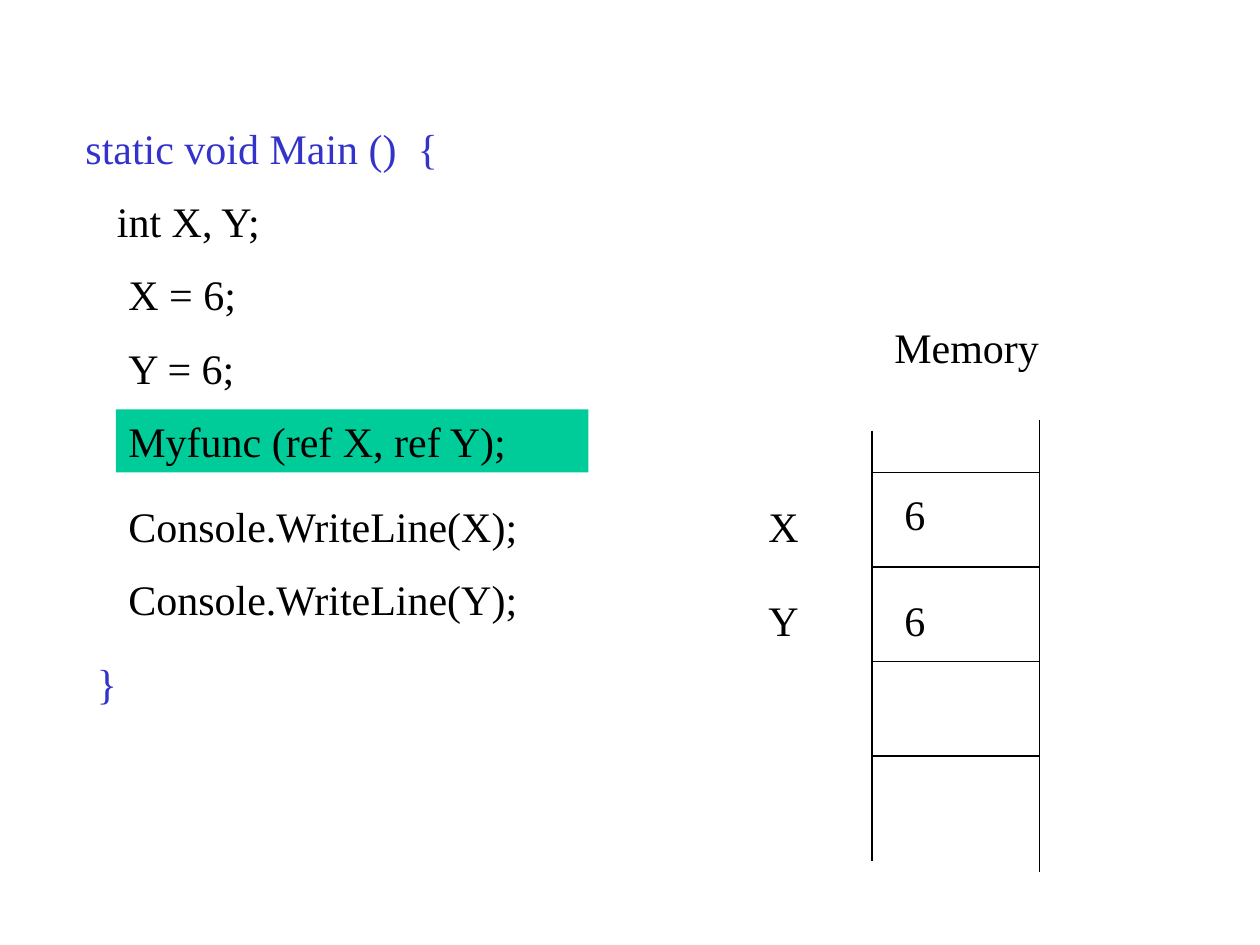
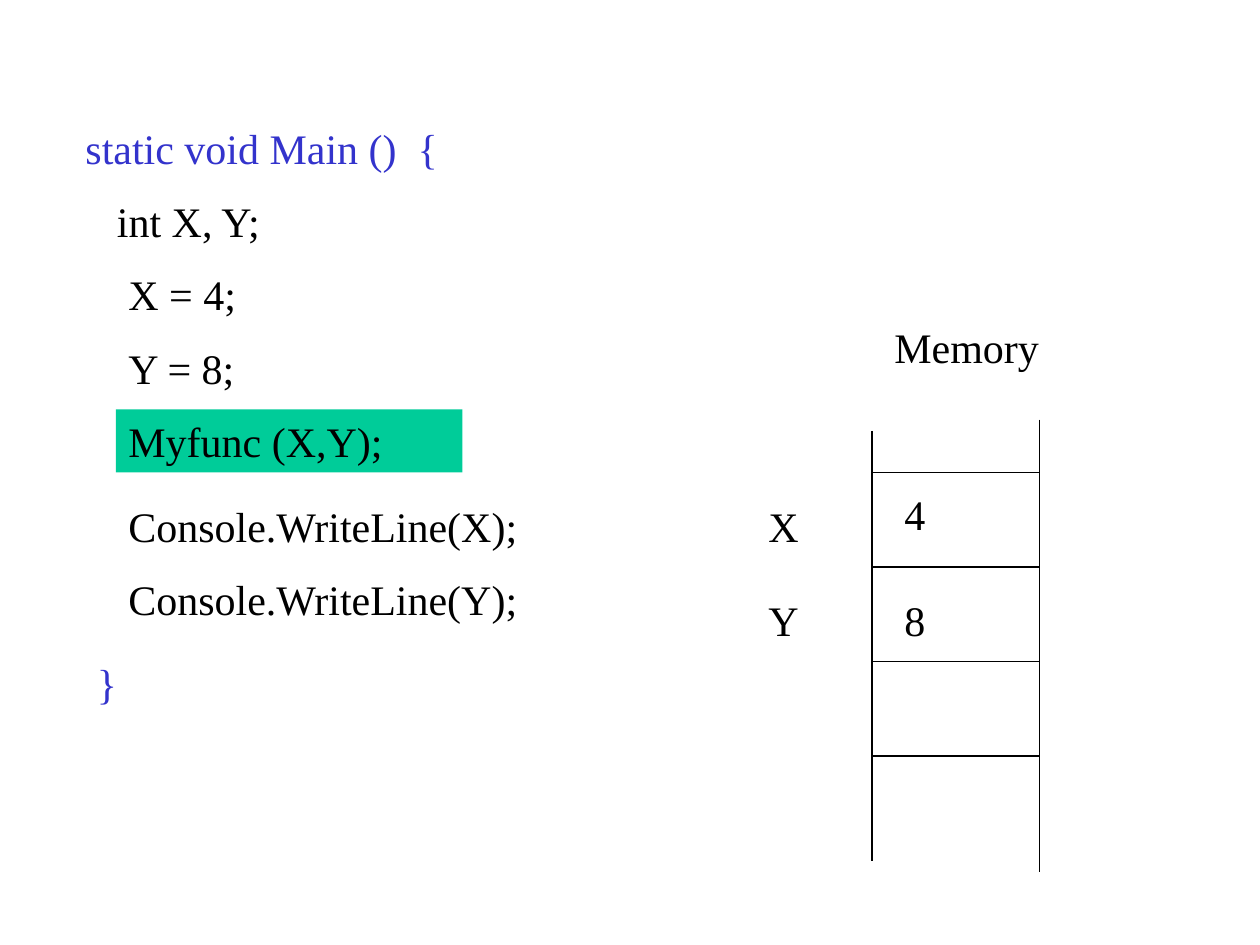
from dataclasses import dataclass

from pptx import Presentation
from pptx.dml.color import RGBColor
from pptx.enum.shapes import MSO_CONNECTOR, MSO_SHAPE
from pptx.enum.text import MSO_ANCHOR, MSO_AUTO_SIZE, PP_ALIGN
from pptx.oxml.ns import qn
from pptx.util import Inches, Pt
from lxml.etree import SubElement

# Content: the starting values, the highlighted call and its bar width
SLIDES = [
    {"x": "6", "y": "6", "call": "Myfunc (ref X, ref Y);", "call_width": 3.75},
    {"x": "4", "y": "8", "call": "Myfunc (X,Y);", "call_width": 2.75},
]


@dataclass(frozen=True)
class Theme:
    font: str = "Times New Roman"
    size: Pt = Pt(24)
    space_before: Pt = Pt(15)
    rule: Pt = Pt(0.75)
    ink: RGBColor = RGBColor(0x00, 0x00, 0x00)
    frame: RGBColor = RGBColor(0x33, 0x33, 0xCC)
    highlight: RGBColor = RGBColor(0x00, 0xCC, 0x99)


THEME = Theme()

# Layout in inches
LINE_HEIGHT = 0.5
BODY_LEFT = 0.92
MEMORY_LEFT, MEMORY_RIGHT = 6.92, 8.25
CELL_TOP, CELL_HEIGHT, CELL_RULES = 3.75, 0.75, 4
LABEL_LEFT, VALUE_LEFT = 6, 7.08


def set_text(s, text, color):
    tf = s.text_frame
    tf.text = text
    tf.word_wrap = True
    tf.auto_size = MSO_AUTO_SIZE.SHAPE_TO_FIT_TEXT
    tf.vertical_anchor = MSO_ANCHOR.TOP
    p = tf.paragraphs[0]
    p.alignment = PP_ALIGN.LEFT
    p.space_before = THEME.space_before
    font = p.runs[0].font
    font.name, font.size = THEME.font, THEME.size
    font.color.rgb = color


def add_text(slide, text, left, top, width, color=THEME.ink):
    box = slide.shapes.add_textbox(Inches(left), Inches(top),
                                   Inches(width), Inches(LINE_HEIGHT))
    set_text(box, text, color)


def add_highlight(slide, text, left, top, width):
    bar = slide.shapes.add_shape(MSO_SHAPE.RECTANGLE, Inches(left), Inches(top),
                                 Inches(width), Inches(LINE_HEIGHT))
    bar.shadow.inherit = False
    bar.fill.solid()
    bar.fill.fore_color.rgb = THEME.highlight
    bar.line.fill.background()
    set_text(bar, text, THEME.ink)


def add_rule(slide, x1, y1, x2, y2):
    rule = slide.shapes.add_connector(MSO_CONNECTOR.STRAIGHT, Inches(x1), Inches(y1),
                                      Inches(x2), Inches(y2))
    rule.line.color.rgb = THEME.ink
    rule.line.width = THEME.rule
    SubElement(rule._element.spPr, qn("a:effectLst"))


def add_code(slide, content):
    # Opening and closing lines of the method
    add_text(slide, "static void Main ()  {", 0.58, 0.92, 5, THEME.frame)
    add_text(slide, "}", 0.67, 5.17, 1.5, THEME.frame)
    # Statements
    add_text(slide, "int X, Y;", 0.83, 1.5, 4.83)
    statements = [
        (f"X = {content['x']};", 2.08, 2.42),
        (f"Y = {content['y']};", 2.67, 1.58),
        ("Console.WriteLine(X);", 3.92, 4.08),
        ("Console.WriteLine(Y);", 4.5, 3.42),
    ]
    for text, top, width in statements:
        add_text(slide, text, BODY_LEFT, top, width)
    add_highlight(slide, content["call"], BODY_LEFT, 3.25, content["call_width"])


def add_memory(slide, content):
    add_text(slide, "Memory", 7, 2.5, 1.42)
    # Side walls and cell borders
    add_rule(slide, MEMORY_LEFT, 3.42, MEMORY_LEFT, 6.83)
    add_rule(slide, MEMORY_RIGHT, 3.33, MEMORY_RIGHT, 6.92)
    for i in range(CELL_RULES):
        y = CELL_TOP + i * CELL_HEIGHT
        add_rule(slide, MEMORY_LEFT, y, MEMORY_RIGHT, y)
    # Variable names and stored values
    for name, label_top, value_top in [("X", 3.92, 3.83), ("Y", 4.67, 4.67)]:
        add_text(slide, name, LABEL_LEFT, label_top, 0.58)
        add_text(slide, content[name.lower()], VALUE_LEFT, value_top, 1)


def main():
    prs = Presentation()
    prs.slide_width, prs.slide_height = Inches(10), Inches(7.5)
    for content in SLIDES:
        slide = prs.slides.add_slide(prs.slide_layouts[6])
        add_code(slide, content)
        add_memory(slide, content)
    prs.save("out.pptx")


if __name__ == "__main__":
    main()
